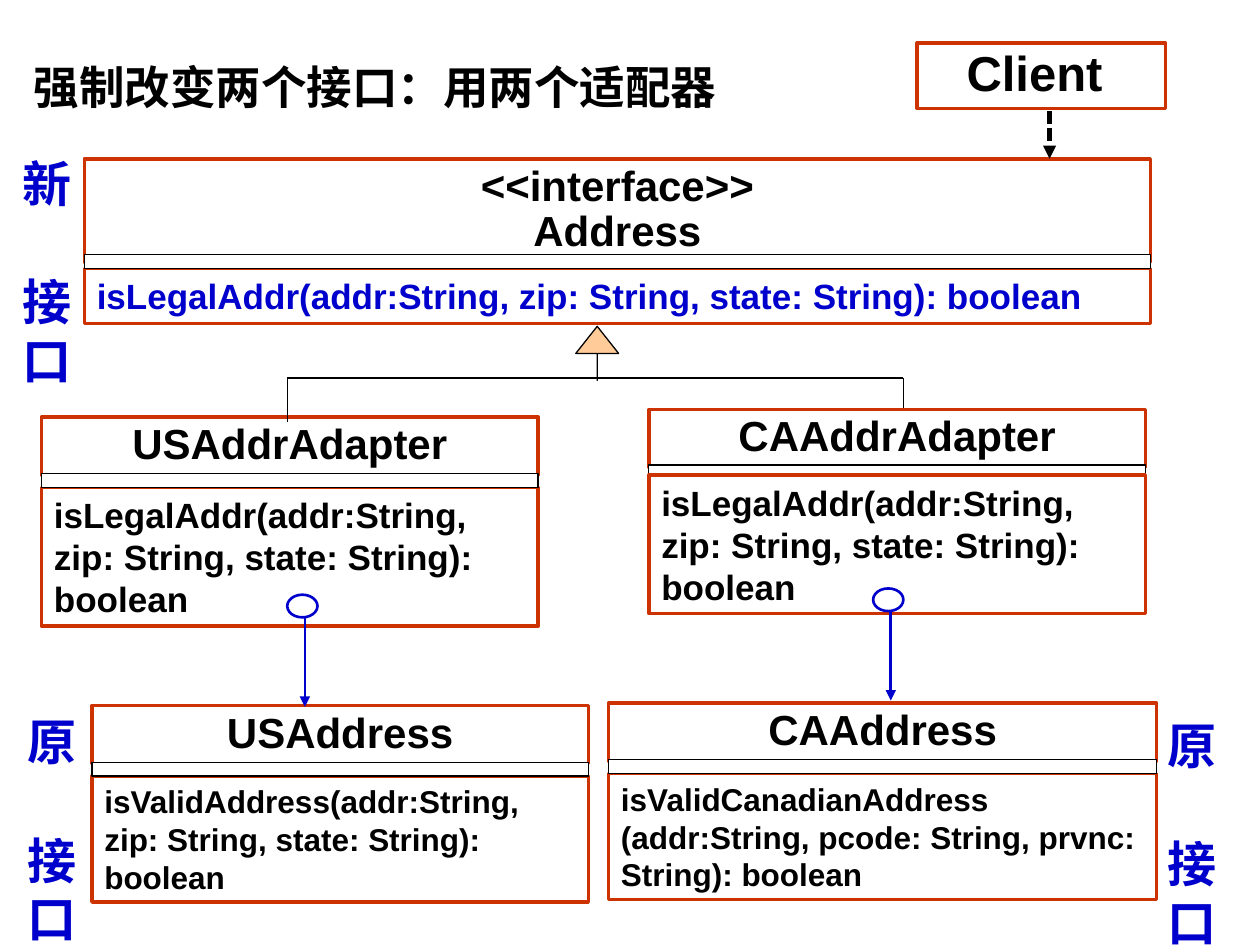
from dataclasses import dataclass

from lxml.etree import SubElement
from pptx import Presentation
from pptx.dml.color import RGBColor
from pptx.enum.dml import MSO_LINE_DASH_STYLE as DASH
from pptx.enum.shapes import MSO_CONNECTOR as CONNECTOR, MSO_SHAPE as SHAPE
from pptx.enum.text import MSO_ANCHOR as ANCHOR, PP_ALIGN as ALIGN
from pptx.oxml.ns import qn
from pptx.util import Inches, Pt


@dataclass(frozen=True)
class Theme:
    black: str = "000000"
    blue: str = "0000CC"
    red: str = "CC3300"
    white: str = "FFFFFF"
    peach: str = "FFCC99"
    latin: str = "Arial"
    chinese: str = "Noto Sans CJK SC"
    heading: int = 26
    large: int = 28
    class_name: int = 24
    method: int = 20
    small_method: int = 18
    thin: float = 0.75
    medium: float = 1.5
    border: float = 2
    thick: float = 2.5


THEME = Theme()
DIVIDER_HEIGHT = 0.11


def style_line(line, color, width):
    line.color.rgb = RGBColor.from_string(color)
    line.width = Pt(width)


def write(shape, lines, size, color=THEME.black, font=THEME.latin, **paragraph_format):
    frame = shape.text_frame
    frame.word_wrap = True
    frame.vertical_anchor = ANCHOR.TOP
    paragraph_format = {"alignment": ALIGN.LEFT, **paragraph_format}
    for index, text in enumerate(lines):
        paragraph = frame.paragraphs[0] if index == 0 else frame.add_paragraph()
        for name, value in paragraph_format.items():
            if index or name != "space_before":
                setattr(paragraph, name, value)
        run = paragraph.add_run()
        run.text = text
        for name, value in {"size": Pt(size), "bold": True, "name": font}.items():
            setattr(run.font, name, value)
        run.font.color.rgb = RGBColor.from_string(color)
        if font == THEME.chinese:
            SubElement(run.font._element, qn("a:ea")).set("typeface", font)


def add_figure(slide, kind, box, fill, color, width):
    shape = slide.shapes.add_shape(kind, *map(Inches, box))
    shape.shadow.inherit = False
    if fill:
        shape.fill.solid()
        shape.fill.fore_color.rgb = RGBColor.from_string(fill)
    else:
        shape.fill.background()
    style_line(shape.line, color, width)
    return shape


def add_panel(slide, box, color=THEME.red, width=THEME.border):
    return add_figure(slide, SHAPE.RECTANGLE, box, THEME.white, color, width)


def add_name_panel(slide, box, lines, size=THEME.class_name):
    write(add_panel(slide, box), lines, size, alignment=ALIGN.CENTER, line_spacing=0.9)


def add_class(slide, box, name, methods, name_height=0.46, divider_offset=0.45,
              body_offset=0.56, size=THEME.method, color=THEME.black, body_on_top=False):
    """Draw a UML class: name panel, thin divider and method panel."""
    left, top, width, height = box

    def add_body():
        body = add_panel(slide, (left, top + body_offset, width, height - body_offset))
        write(body, methods, size, color)

    if not body_on_top:
        add_body()
    add_name_panel(slide, (left, top, width, name_height), name)
    add_panel(slide, (left, top + divider_offset, width, DIVIDER_HEIGHT),
              THEME.black, THEME.thin)
    if body_on_top:
        add_body()


def add_line(slide, start, end, color=THEME.black, width=THEME.thin, dash=None, arrow=False):
    connector = slide.shapes.add_connector(
        CONNECTOR.STRAIGHT, *map(Inches, (*start, *end)))
    style_line(connector.line, color, width)
    if dash:
        connector.line.dash_style = dash
    properties = connector._element.spPr
    if arrow:
        SubElement(properties.find(qn("a:ln")), qn("a:tailEnd")).set("type", "triangle")
    SubElement(properties, qn("a:effectLst"))


def add_delegation(slide, left, top):
    """Draw the ring in an adapter and the arrow down to the adapted class."""
    add_figure(slide, SHAPE.OVAL, (left, top, 0.24, 0.18), None, THEME.blue, THEME.medium)
    x, y = left + 0.14, top + 0.18
    add_line(slide, (x, y), (x, y + 0.71), THEME.blue, THEME.medium, arrow=True)


def add_label(slide, box, lines, size, color, **paragraph_format):
    label = slide.shapes.add_textbox(*map(Inches, box))
    write(label, lines, size, color, THEME.chinese, **paragraph_format)


def add_inheritance(slide):
    arrow = add_figure(slide, SHAPE.UP_ARROW, (4.57, 2.59, 0.34, 0.43),
                       THEME.peach, THEME.black, THEME.thin)
    arrow.adjustments[0] = 0
    arrow.adjustments[1] = 0.634
    add_line(slide, (2.28, 3), (7.17, 3))
    add_line(slide, (2.28, 3), (2.28, 3.35))


def main():
    presentation = Presentation()
    presentation.slide_width, presentation.slide_height = Inches(10), Inches(7.5)
    slide = presentation.slides.add_slide(presentation.slide_layouts[6])

    add_line(slide, (7.17, 3), (7.17, 3.52))
    add_name_panel(slide, (7.28, 0.34, 1.97, 0.52), ["Client "], THEME.large)
    add_class(slide, (0.73, 5.6, 3.94, 1.56), ["USAddress"],
              ["isValidAddress(addr:String,", "zip: String, state: String):", "boolean"],
              size=THEME.small_method)
    add_class(slide, (4.83, 5.58, 4.35, 1.56), ["CAAddress"],
              ["isValidCanadianAddress",
               "(addr:String, pcode: String, prvnc: String): boolean"],
              size=THEME.small_method)
    adapter_methods = ["isLegalAddr(addr:String,", "zip: String, state: String):", "boolean"]
    add_class(slide, (5.15, 3.25, 3.94, 1.62), ["CAAddrAdapter"], adapter_methods,
              divider_offset=0.44, body_offset=0.52, body_on_top=True)
    add_class(slide, (0.67, 1.26, 8.46, 1.31), ["<<interface>>", "Address"],
              ["isLegalAddr(addr:String, zip: String, state: String): boolean"],
              name_height=0.82, divider_offset=0.76, body_offset=0.87, color=THEME.blue)
    add_line(slide, (8.33, 0.88), (8.33, 1.26), width=THEME.thick,
             dash=DASH.SQUARE_DOT, arrow=True)
    add_class(slide, (0.33, 3.31, 3.94, 1.66), ["USAddrAdapter"], adapter_methods)
    add_inheritance(slide)
    for left, top in ((2.28, 4.72), (6.93, 4.67)):
        add_delegation(slide, left, top)

    for left, top, age in ((9.17, 5.63, "原"), (0.12, 5.6, "原"), (0.08, 1.17, "新")):
        add_label(slide, (left, top, 0.58, 1.97), [age, "接口"], THEME.large, THEME.blue,
                  space_before=Pt(34))
    add_label(slide, (0.17, 0.42, 6, 0.54), ["强制改变两个接口：用两个适配器"],
              THEME.heading, THEME.black)
    presentation.save("out.pptx")


if __name__ == "__main__":
    main()
